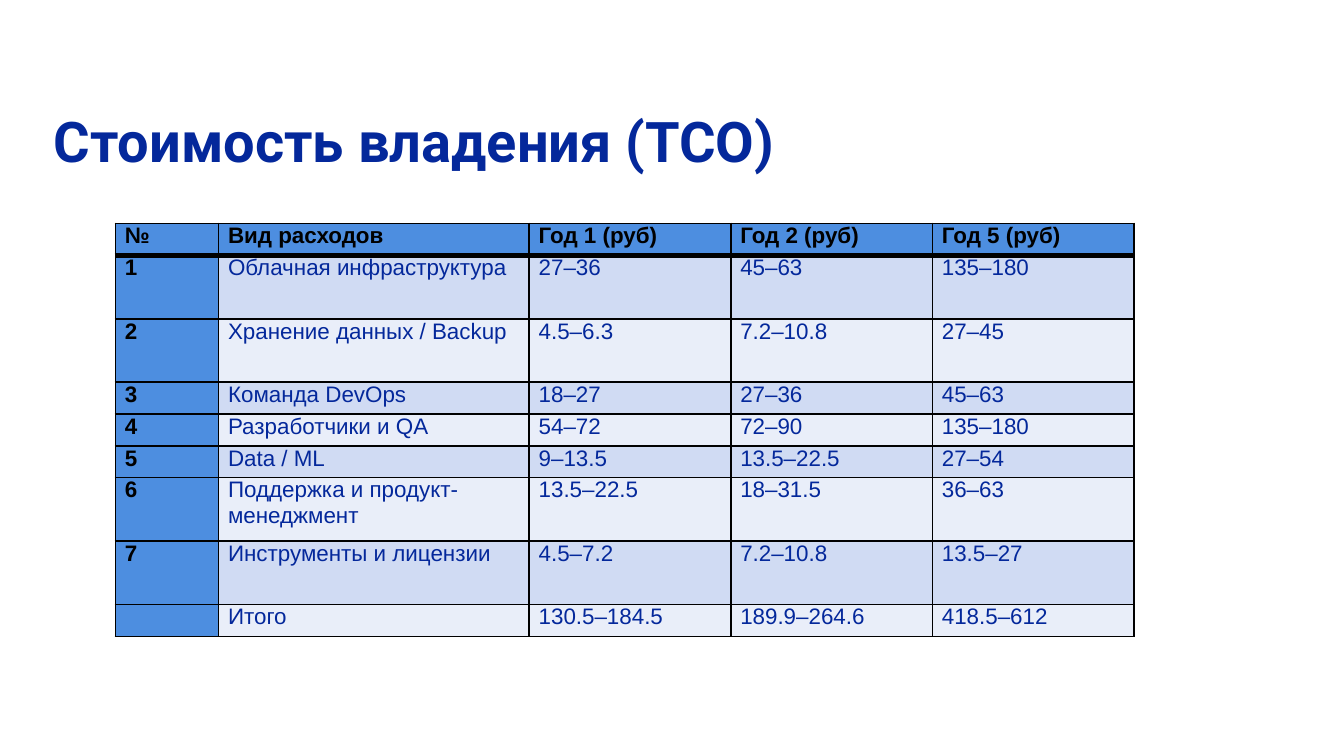
from lxml import etree
from pptx import Presentation
from pptx import util as u
from pptx.dml.color import RGBColor
from pptx.enum import text
from pptx.oxml.ns import qn

BLACK, NAVY, BLUE = "000000", "04289B", "4D8EE0"
BANDS = ["E9EEF9", "D0DBF3"]


def color(hex_code):
    return RGBColor.from_string(hex_code)


def add_border(cell, side, points):
    line = etree.SubElement(cell._tc.get_or_add_tcPr(), qn(f"a:ln{side}"), w=str(u.Pt(points)))
    fill = etree.SubElement(line, qn("a:solidFill"))
    etree.SubElement(fill, qn("a:srgbClr"), val=BLACK)


prs = Presentation()
prs.slide_width, prs.slide_height = u.Cm(25.4), u.Cm(14.28)
slide = prs.slides.add_slide(prs.slide_layouts[6])

heading = slide.shapes.add_textbox(u.Cm(0.76), u.Cm(0.51), u.Cm(15.93), u.Cm(3.02)).text_frame
heading.word_wrap = True
heading.vertical_anchor = text.MSO_ANCHOR.BOTTOM
heading.margin_left = heading.margin_right = u.Cm(0.25)
heading.margin_top = heading.margin_bottom = u.Cm(0.25)
title = heading.paragraphs[0]
title.text = "Стоимость владения (TCO)"
title.font.name, title.font.size, title.font.bold = "Roboto", u.Pt(30), True
title.font.color.rgb = color(NAVY)

expenses = [
    ("№", "Вид расходов", "Год 1 (руб)", "Год 2 (руб)", "Год 5 (руб)"),
    ("1", "Облачная инфраструктура", "27–36", "45–63", "135–180"),
    ("2", "Хранение данных / Backup", "4.5–6.3", "7.2–10.8", "27–45"),
    ("3", "Команда DevOps", "18–27", "27–36", "45–63"),
    ("4", "Разработчики и QA", "54–72", "72–90", "135–180"),
    ("5", "Data / ML", "9–13.5", "13.5–22.5", "27–54"),
    ("6", "Поддержка и продукт-менеджмент", "13.5–22.5", "18–31.5", "36–63"),
    ("7", "Инструменты и лицензии", "4.5–7.2", "7.2–10.8", "13.5–27"),
    ("", "Итого", "130.5–184.5", "189.9–264.6", "418.5–612"),
]
column_widths = [1.95, 5.87, 3.81, 3.81, 3.81]
tall_rows = {1, 2, 6, 7}
row_heights = [1.2 if r in tall_rows else 0.6 for r in range(len(expenses))]

costs = slide.shapes.add_table(
    len(expenses), len(column_widths), u.Cm(2.18), u.Cm(4.22),
    u.Cm(sum(column_widths)), u.Cm(sum(row_heights))).table
costs.first_row = costs.horz_banding = False
for column, width in zip(costs.columns, column_widths):
    column.width = u.Cm(width)

for r, expense in enumerate(expenses):
    costs.rows[r].height = u.Cm(row_heights[r])
    for c, entry in enumerate(expense):
        cell = costs.cell(r, c)
        is_header = r == 0 or c == 0
        cell.margin_left = cell.margin_right = u.Cm(0.18)
        cell.margin_top = cell.margin_bottom = 0
        for side in "LRTB":
            under_header = (r, side) in [(0, "B"), (1, "T")]
            add_border(cell, side, 3 if under_header else 1)
        cell.fill.solid()
        cell.fill.fore_color.rgb = color(BLUE if is_header else BANDS[r % 2])

        label = cell.text_frame.paragraphs[0]
        label.text = entry
        label.font.name, label.font.size, label.font.bold = "Arial", u.Pt(12), is_header
        label.font.color.rgb = color(BLACK if is_header else NAVY)
        if not entry:  # an empty cell takes its line height from the end mark
            etree.SubElement(label._p, qn("a:endParaRPr"), sz="1200")

prs.save("out.pptx")
